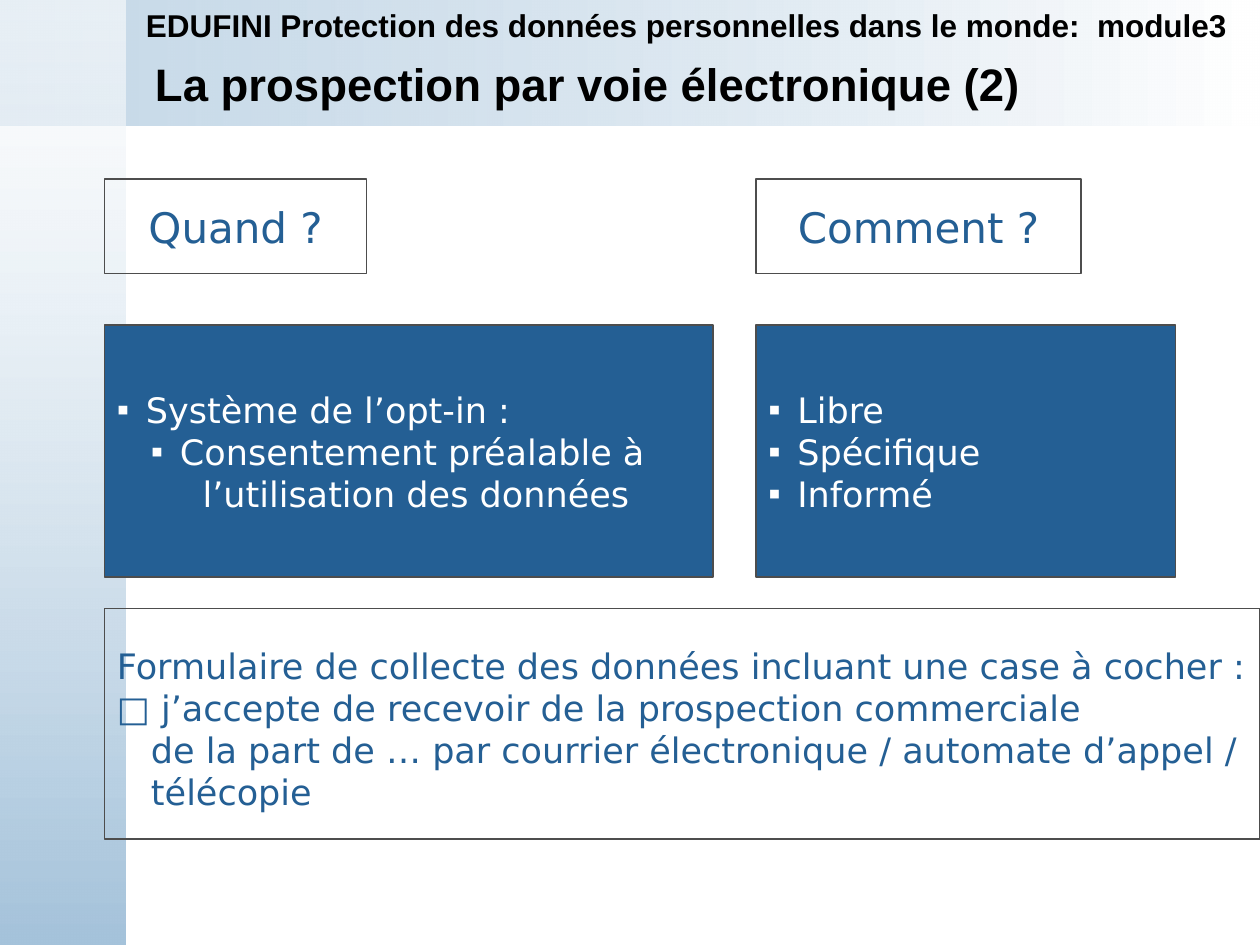
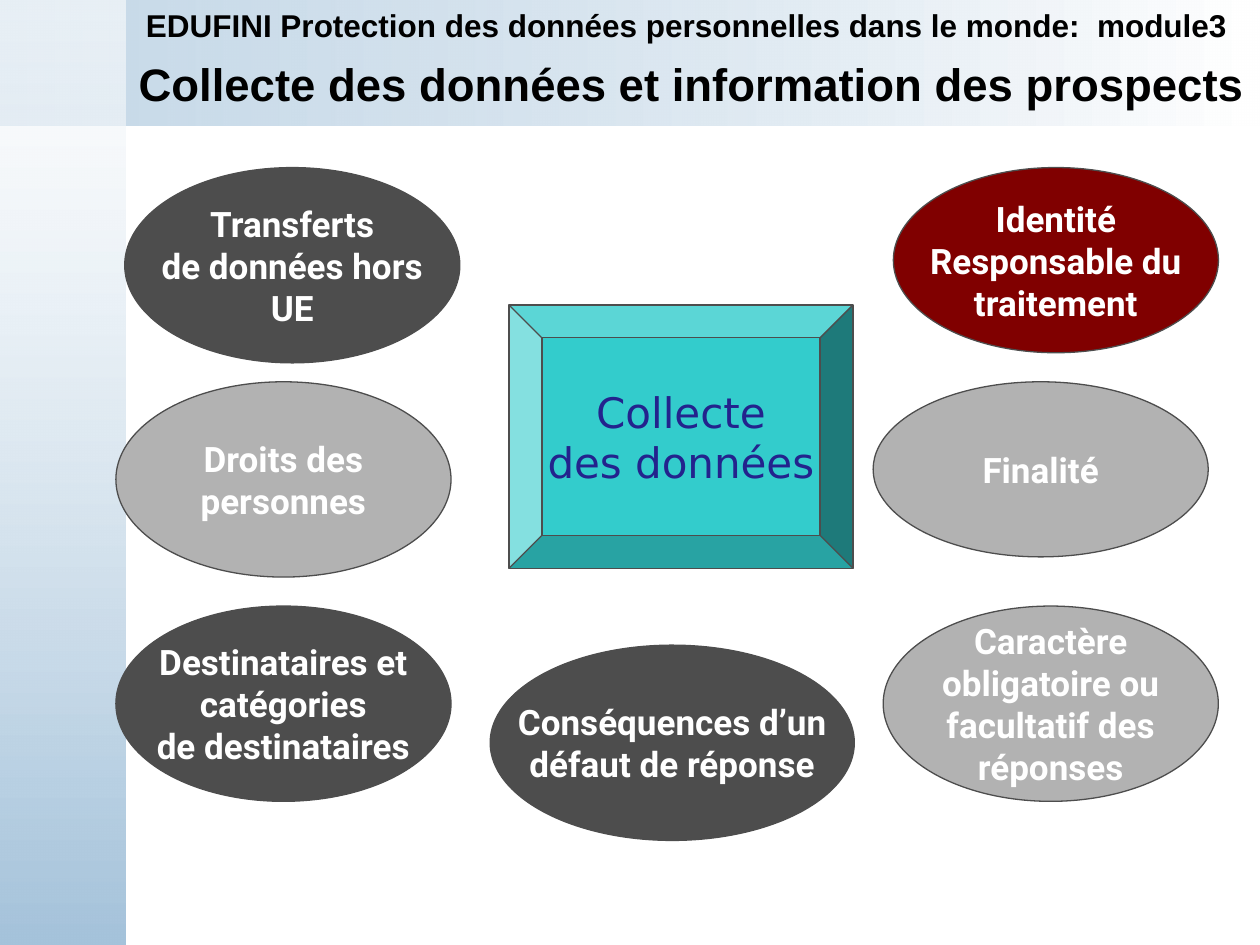
from lxml.etree import SubElement
from pptx import Presentation
from pptx.dml.color import RGBColor
from pptx.enum.shapes import MSO_SHAPE
from pptx.enum.text import MSO_ANCHOR, MSO_AUTO_SIZE, PP_ALIGN
from pptx.oxml.ns import qn
from pptx.util import Inches, Pt

COLORS = {key: RGBColor.from_string(value) for key, value in {
    "black": "000000", "white": "FFFFFF", "band": "A5C3DB",
    "blue": "245F94", "dark": "4D4D4D", "grey": "B2B2B2",
    "red": "800000", "teal": "33CCCC", "navy": "23238D",
}.items()}
HEADER = "EDUFINI Protection des données personnelles dans le monde:  module3"
# Left, top, width, height, start colour, opacity, end colour, angle
BANDS = [
    (0, 0, 10, 1, "band", 62, "white", 0),
    (0, 0, 1, 7.5, "white", 59, "band", 270),
]
HANG = 0.23


def write(frame, lines, font, size, color, bold=False, align=PP_ALIGN.LEFT):
    """Fill a frame with (text, left margin, bullet) lines."""
    for number, (text, margin, bullet) in enumerate(lines):
        paragraph = frame.paragraphs[0] if number == 0 else frame.add_paragraph()
        paragraph.text = text
        paragraph.alignment = align
        properties = paragraph._p.get_or_add_pPr()
        properties.set("marL", str(Inches(margin)))
        properties.set("indent", str(Inches(-HANG if bullet else 0)))
        if bullet:
            SubElement(properties, qn("a:buFont")).set("typeface", "Arial")
            SubElement(properties, qn("a:buChar")).set("char", bullet)
        paragraph.font.name = font
        paragraph.font.size = Pt(size)
        paragraph.font.bold = bold
        paragraph.font.color.rgb = COLORS[color]


def add_box(slide, kind, place, fill=None):
    """Add a thinly outlined shape whose text does not wrap."""
    box = slide.shapes.add_shape(kind, *map(Inches, place))
    box.shadow.inherit = False
    if fill:
        box.fill.solid()
        box.fill.fore_color.rgb = COLORS[fill]
    else:
        box.fill.background()
    box.line.color.rgb = COLORS["dark"]
    box.line.width = Pt(0.75)
    box.text_frame.word_wrap = False
    box.text_frame.vertical_anchor = MSO_ANCHOR.MIDDLE
    return box


prs = Presentation()
prs.slide_width, prs.slide_height = Inches(10), Inches(7.5)

# Shared bands, title and header
slides = []
for title_text, title_left, title_width in [
    ("La prospection par voie électronique (2)", 1.13, 8.45),
    ("Collecte des données et information des prospects", 1, 9),
]:
    slide = prs.slides.add_slide(prs.slide_layouts[5])
    slides.append(slide)
    for left, top, width, height, start, opacity, end, angle in BANDS:
        band = slide.shapes.add_shape(
            MSO_SHAPE.RECTANGLE, *map(Inches, (left, top, width, height)))
        band.shadow.inherit = False
        band.line.fill.background()
        band.fill.gradient()
        band.fill.gradient_angle = angle
        for stop, color, position in zip(band.fill.gradient_stops, (start, end), (0, 1)):
            stop.color.rgb = COLORS[color]
            stop.position = position
        first_color = band._element.spPr.find(".//" + qn("a:srgbClr"))
        SubElement(first_color, qn("a:alpha")).set("val", str(opacity * 1000))

    # The title is moved in front of the bands
    title = slide.shapes.title
    slide.shapes._spTree.append(title._element)
    title.left, title.top = Inches(title_left), Inches(0.42)
    title.width, title.height = Inches(title_width), Inches(0.49)
    title.text_frame.auto_size = MSO_AUTO_SIZE.NONE
    title.text_frame.vertical_anchor = MSO_ANCHOR.MIDDLE
    write(title.text_frame, [(title_text, 0, None)], "Arial", 26, "black", bold=True)

    # The header stays on one line
    header = slide.shapes.add_textbox(*map(Inches, (1.06, 0, 8.94, 0.4)))
    header.text_frame.word_wrap = True
    write(header.text_frame, [(HEADER, 0, None)], "Arial", 18, "black", bold=True)

prospecting, collection = slides

# Slide 1: conditions of consent
for place, lines in [
    ((0.83, 2.58, 4.83, 2), [
        ("Système de l’opt-in :", HANG, "▪"),
        ("Consentement préalable à", 0.5, "▪"),
        ("l’utilisation des données", 0.68, None),
    ]),
    ((6, 2.58, 3.33, 2), [
        (text, HANG, "▪") for text in ("Libre", "Spécifique", "Informé")
    ]),
]:
    answer = add_box(prospecting, MSO_SHAPE.RECTANGLE, place, "blue")
    write(answer.text_frame, lines, "DejaVu Sans", 20, "white")

# Slide 1: questions
for text, left, width in [("Quand ?", 0.83, 2.08), ("Comment ?", 6, 2.58)]:
    question = add_box(prospecting, MSO_SHAPE.RECTANGLE, (left, 1.42, width, 0.75))
    write(question.text_frame, [(text, 0, None)], "DejaVu Sans", 24, "blue",
          align=PP_ALIGN.CENTER)

# Slide 1: wording of the form
form = add_box(prospecting, MSO_SHAPE.RECTANGLE, (0.83, 4.83, 9.17, 1.83))
form.text_frame.margin_top = Inches(0.12)
write(form.text_frame, [
    ("Formulaire de collecte des données incluant une case à cocher :", 0, None),
    ("□ j’accepte de recevoir de la prospection commerciale", 0, None),
    ("de la part de … par courrier électronique / automate d’appel /", 0.27, None),
    ("télécopie", 0.27, None),
], "DejaVu Sans", 20, "blue")

# Slide 2: data collection in the centre
core = add_box(collection, MSO_SHAPE.BEVEL, (4.04, 2.42, 2.73, 2.09), "teal")
core.adjustments[0] = 0.125
write(core.text_frame, [("Collecte", 0, None), ("des données", 0, None)],
      "DejaVu Sans", 24, "navy", align=PP_ALIGN.CENTER)

# Slide 2: items of information around it
for place, fill, lines in [
    ((3.89, 5.12, 2.89, 1.55), "dark", ["Conséquences d’un", "défaut de réponse"]),
    ((0.92, 4.81, 2.66, 1.55), "dark",
     ["Destinataires et", "catégories", "de destinataires"]),
    ((0.99, 1.33, 2.66, 1.55), "dark", ["Transferts", "de données hors", "UE"]),
    ((7.09, 1.33, 2.58, 1.47), "red", ["Identité", "Responsable du", "traitement"]),
    ((6.93, 3.03, 2.66, 1.39), "grey", ["Finalité"]),
    ((7.01, 4.81, 2.66, 1.55), "grey",
     ["Caractère", "obligatoire ou", "facultatif des", "réponses"]),
    ((0.92, 3.03, 2.66, 1.55), "grey", ["Droits des", "personnes"]),
]:
    item = add_box(collection, MSO_SHAPE.OVAL, place, fill)
    write(item.text_frame, [(line, 0, None) for line in lines], "Roboto", 20, "white",
          bold=True, align=PP_ALIGN.CENTER)

prs.save("out.pptx")
